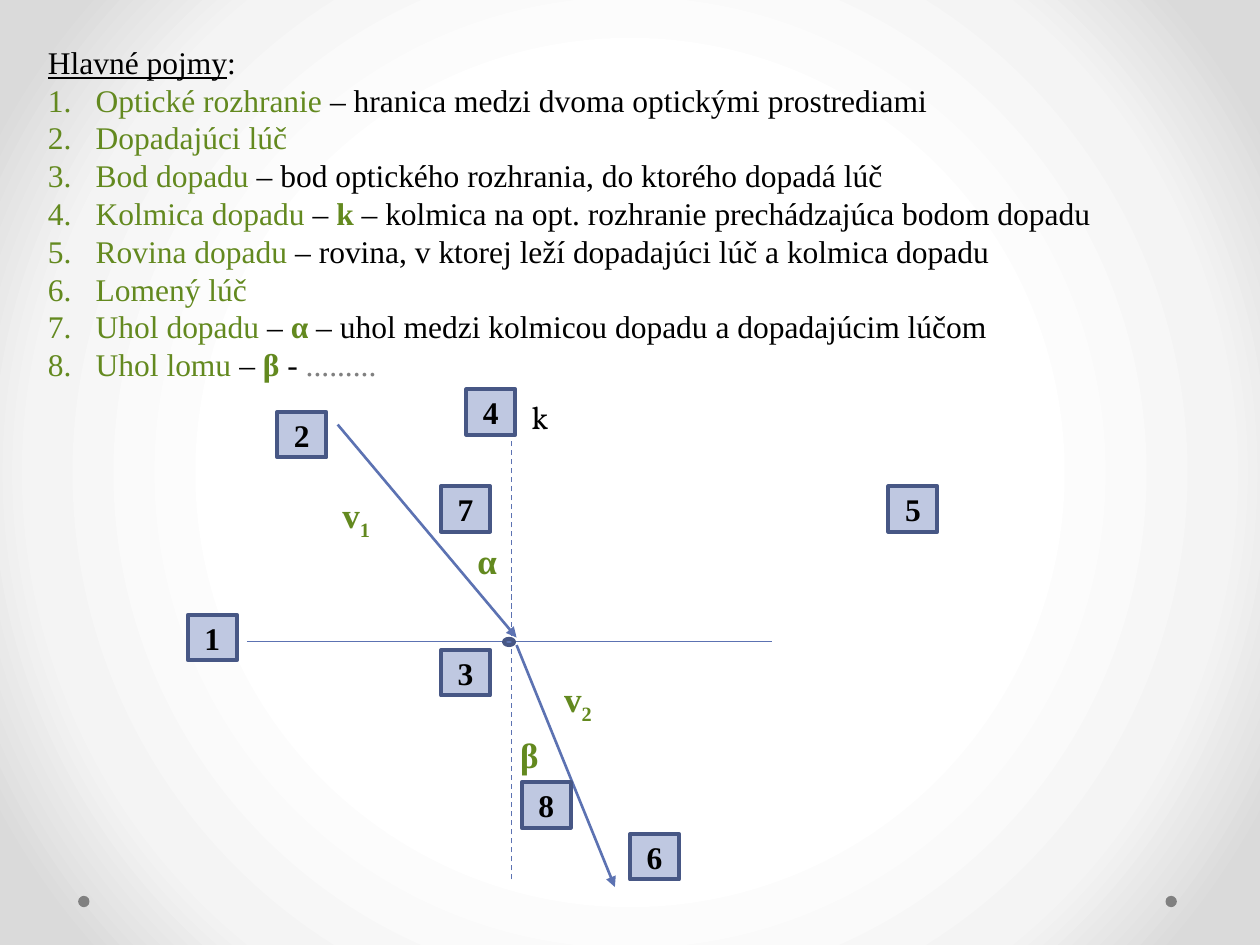
from lxml import etree
from pptx import Presentation
from pptx.dml.color import RGBColor
from pptx.enum.dml import MSO_LINE
from pptx.enum.shapes import MSO_CONNECTOR, MSO_SHAPE
from pptx.enum.text import MSO_ANCHOR, MSO_AUTO_SIZE, PP_ALIGN
from pptx.oxml import parse_xml
from pptx.oxml.ns import qn
from pptx.util import Inches, Pt

DASH = MSO_LINE.DASH
LINE = MSO_CONNECTOR.STRAIGHT
OVAL = MSO_SHAPE.OVAL
BOX = MSO_SHAPE.FLOWCHART_PROCESS
MIDDLE = MSO_ANCHOR.MIDDLE
TOP = MSO_ANCHOR.TOP
GROW = MSO_AUTO_SIZE.SHAPE_TO_FIT_TEXT
FIXED = MSO_AUTO_SIZE.NONE
CENTER = PP_ALIGN.CENTER
LEFT = PP_ALIGN.LEFT

BLACK, GREEN, GRAY = "000000", "63891F", "808080"
BLUE, NAVY, PALE, STEEL = "5C72B2", "475785", "BFC8E1", "6076B4"
SERIF = "Times New Roman"
NS = "http://schemas.openxmlformats.org/"

PLAIN = {"name": SERIF, "size": Pt(18), "bold": False}
BOLD = {**PLAIN, "bold": True}
SIGN = {**BOLD, "size": Pt(20)}
TERMS = [
    [("Optické rozhranie ", GREEN, PLAIN),
     ("– hranica medzi dvoma optickými prostrediami", BLACK, PLAIN)],
    [("Dopadajúci lúč", GREEN, PLAIN)],
    [("Bod dopadu ", GREEN, PLAIN),
     ("– bod optického rozhrania, do ktorého dopadá lúč", BLACK, PLAIN)],
    [("Kolmica dopadu ", GREEN, PLAIN), ("– ", BLACK, PLAIN), ("k", GREEN, BOLD),
     (" – kolmica na opt. rozhranie prechádzajúca bodom dopadu", BLACK, PLAIN)],
    [("Rovina dopadu ", GREEN, PLAIN),
     ("– rovina, v ktorej leží dopadajúci lúč a kolmica dopadu", BLACK, PLAIN)],
    [("Lomený lúč", GREEN, PLAIN)],
    [("Uhol dopadu ", GREEN, PLAIN), ("– ", BLACK, PLAIN), ("α", GREEN, BOLD),
     (" – uhol medzi kolmicou dopadu a dopadajúcim lúčom", BLACK, PLAIN)],
    [("Uhol lomu ", GREEN, PLAIN), ("– ", BLACK, PLAIN), ("β ", GREEN, BOLD),
     ("- ", BLACK, PLAIN), (".........", GRAY, PLAIN)],
]
MARKS = {"1": (1.49, 4.88), "5": (7.05, 3.86), "8": (4.14, 6.21), "7": (3.5, 3.86),
         "4": (3.7, 3.09), "3": (3.5, 5.16), "6": (5, 6.62), "2": (2.2, 3.27)}


def color(code):
    return RGBColor.from_string(code)


def apply(item, values):
    for key, value in values.items():
        setattr(item, key, value)


def place(*sizes):
    return [Inches(size) for size in sizes]


def write(para, text, code, style):
    run = para.add_run()
    run.text = text
    apply(run.font, style)
    run.font.color.rgb = color(code)
    return run


def paint(slide):
    stops = [(0, "FFFFFF"), (50, "FFFFFF"), (76, "F4F4F4"), (92, "DADADA"), (100, "DADADA")]
    marks = "".join(f'<a:gs pos="{pos * 1000}"><a:srgbClr val="{code}"/></a:gs>'
                    for pos, code in stops)
    back = parse_xml(
        f'<p:bg xmlns:p="{NS}presentationml/2006/main" xmlns:a="{NS}drawingml/2006/main">'
        f'<p:bgPr><a:gradFill rotWithShape="1"><a:gsLst>{marks}</a:gsLst><a:path path="circle">'
        '<a:fillToRect l="50000" t="50000" r="50000" b="50000"/></a:path></a:gradFill>'
        '<a:effectLst/></p:bgPr></p:bg>')
    slide.element.cSld.insert(0, back)


def add_list(slide):
    body = slide.placeholders[1]
    left, top, width, height = place(0.28, 0.29, 8.56, 2.83)
    apply(body, {"left": left, "top": top, "width": width, "height": height})
    frame = body.text_frame
    apply(frame, {"word_wrap": True, "auto_size": FIXED, "vertical_anchor": TOP})
    head = [("Hlavné pojmy", BLACK, {**PLAIN, "underline": True}), (":", BLACK, PLAIN)]
    for index, parts in enumerate([head, *TERMS]):
        para = frame.add_paragraph() if index else frame.paragraphs[0]
        props = para._p.get_or_add_pPr()
        indent = Inches(0.38) if index else 0
        props.set("marL", str(indent))
        props.set("indent", str(-indent))
        if index:
            etree.SubElement(props, qn("a:buFont"), typeface="+mj-lt")
            etree.SubElement(props, qn("a:buAutoNum"), type="arabicPeriod")
        else:
            etree.SubElement(props, qn("a:buNone"))
        apply(para, {"space_before": Pt(0), "space_after": Pt(0),
                     "line_spacing": Pt(21.6), "alignment": LEFT})
        for part in parts:
            write(para, *part)


def add_line(slide, start, end, width, dash=None, arrow=False):
    line = slide.shapes.add_connector(LINE, *place(*start, *end))
    line.line.color.rgb = color(BLUE)
    apply(line.line, {"width": Pt(width), "dash_style": dash})
    if arrow:
        etree.SubElement(line.line._get_or_add_ln(), qn("a:tailEnd"), type="triangle")
    etree.SubElement(line._element.spPr, qn("a:effectLst"))


def add_shape(slide, kind, box, fill, edge=None):
    shape = slide.shapes.add_shape(kind, *place(*box))
    shape.shadow.inherit = False
    shape.fill.solid()
    shape.fill.fore_color.rgb = color(fill)
    if edge:
        shape.line.color.rgb = color(edge)
        shape.line.width = Pt(2.25)
    else:
        shape.line.fill.background()
    return shape


def add_mark(slide, text, spot):
    frame = add_shape(slide, BOX, (*spot, 0.39, 0.36), PALE, NAVY).text_frame
    frame.vertical_anchor = MIDDLE
    para = frame.paragraphs[0]
    para.alignment = CENTER
    write(para, text, BLACK, BOLD)


def add_label(slide, box, text, sub="", code=GREEN, style=SIGN):
    frame = slide.shapes.add_textbox(*place(*box)).text_frame
    apply(frame, {"word_wrap": False, "auto_size": GROW})
    para = frame.paragraphs[0]
    write(para, text, code, style)
    if sub:
        run = write(para, sub, code, style)
        run._r.get_or_add_rPr().set("baseline", "-25000")


def main():
    deck = Presentation()
    deck.slide_width, deck.slide_height = place(10, 7.5)
    slide = deck.slides.add_slide(deck.slide_layouts[1])
    title = slide.shapes.title.element
    title.getparent().remove(title)
    paint(slide)
    for left in (9.25, 0.62):
        add_shape(slide, OVAL, (left, 7.11, 0.09, 0.09), GRAY)
    add_list(slide)
    add_line(slide, (1.96, 5.09), (6.13, 5.09), 0.75)
    add_line(slide, (4.06, 6.98), (4.06, 3.5), 0.75, dash=DASH)
    add_line(slide, (2.68, 3.37), (4.1, 5.06), 1.5, arrow=True)
    add_line(slide, (4.1, 5.12), (4.88, 7.04), 1.5, arrow=True)
    add_shape(slide, OVAL, (4, 5.07, 0.08, 0.05), STEEL, NAVY)
    add_label(slide, (3.69, 4.23, 0.37, 0.44), "α")
    add_label(slide, (4.03, 5.77, 0.35, 0.44), "β")
    for text, spot in MARKS.items():
        add_mark(slide, text, spot)
    add_label(slide, (4.12, 3.11, 0.34, 0.4), "k", code=BLACK,
              style={**PLAIN, "name": "Vollkorn"})
    add_label(slide, (2.62, 3.87, 0.44, 0.44), "v", "1")
    add_label(slide, (4.38, 5.33, 0.44, 0.44), "v", "2")
    deck.save("out.pptx")


if __name__ == "__main__":
    main()
